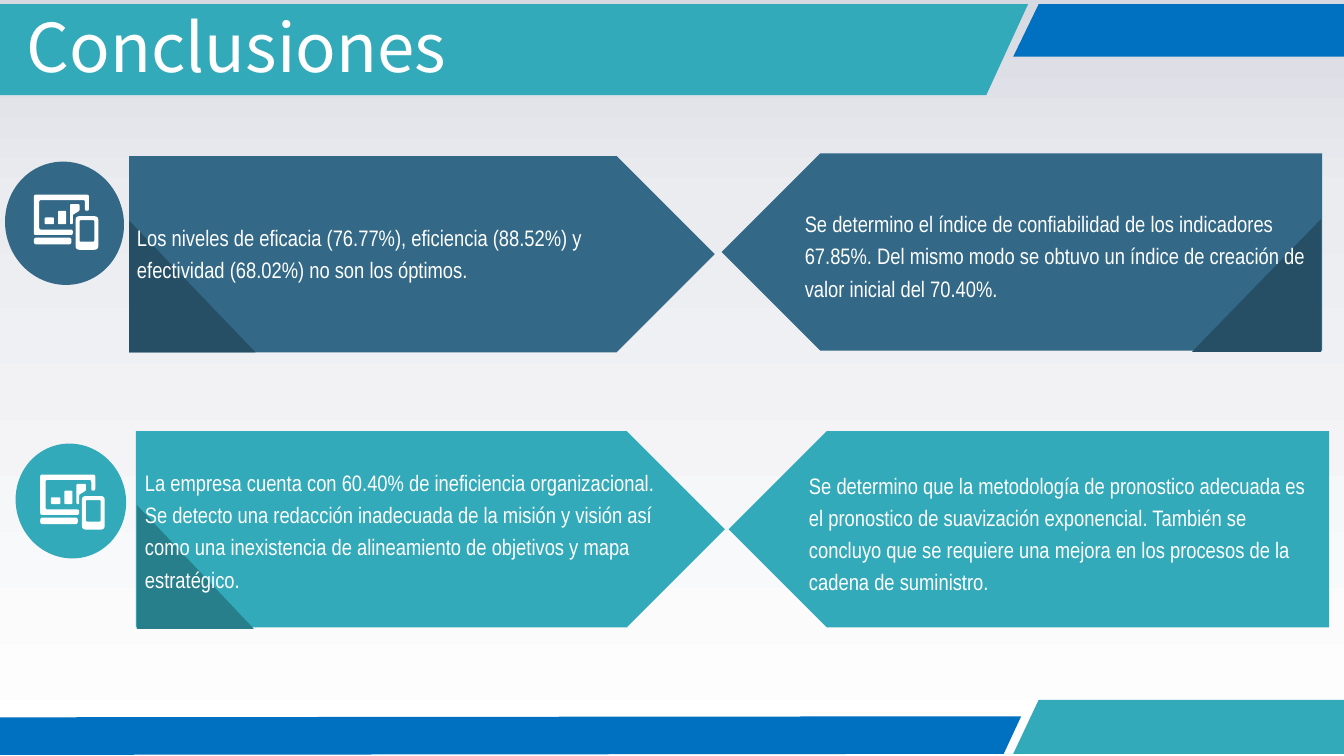
import copy

import pptx
import pptx.dml.color
import pptx.enum.shapes
import pptx.enum.text
import pptx.oxml.ns
import pptx.util

Cm = pptx.util.Cm
Pt = pptx.util.Pt
SHAPE = pptx.enum.shapes.MSO_SHAPE

COLORS = {
    "navy": "336987", "navy_fold": "264F65",
    "teal": "33AAB9", "teal_fold": "267F8B",
    "blue": "0070C0", "white": "FFFFFF",
    "bg_top": "D7D9E1", "bg_mid": "EBECF0",
}

# Slanted header and footer bands: colour and corners in cm
BANDS = [
    ("blue", [(0, 13.56), (19.3, 13.54), (18.97, 14.25), (0, 14.27)]),
    ("teal", [(19.63, 13.23), (25.4, 13.23), (25.4, 14.25), (19.15, 14.25)]),
    ("teal", [(0, 0.08), (19.43, 0.08), (18.64, 1.8), (0, 1.8)]),
    ("blue", [(19.63, 0.08), (25.4, 0.08), (25.4, 1.07), (19.15, 1.07)]),
]

# Badges: colour, circle box, icon corner
BADGES = [
    ("navy", (0.1, 3.05, 2.24, 2.34), (0.64, 3.68)),
    ("teal", (0.3, 8.38, 2.08, 2.18), (0.76, 8.97)),
]

# Arrow cards: colour, points left, arrow box, fold box, text box, text
CARDS = [
    ("navy", False, (2.44, 2.95, 11.07, 3.71), (2.44, 4.17, 2.39, 2.49),
     (2.39, 3.02, 10.03, 3.45),
     "Los niveles de eficacia (76.77%), eficiencia (88.52%) y efectividad "
     "(68.02%) no son los óptimos."),
    ("teal", False, (2.57, 8.15, 11.13, 3.71), (2.59, 9.55, 2.21, 2.34),
     (2.54, 8.26, 10.03, 3.45),
     "La empresa cuenta con 60.40% de ineficiencia organizacional. Se detecto "
     "una redacción inadecuada de la misión y visión así como una "
     "inexistencia de alineamiento de objetivos y mapa estratégico."),
    ("navy", True, (13.64, 2.9, 11.35, 3.73), (22.53, 4.14, 2.44, 2.51),
     (15.01, 3.05, 10.29, 3.48),
     "Se determino el índice de confiabilidad de los indicadores 67.85%. Del "
     "mismo modo se obtuvo un índice de creación de valor inicial del 70.40%."),
    ("teal", True, (13.77, 8.15, 11.35, 3.71), None,
     (15.09, 8.31, 10.03, 3.45),
     "Se determino que la metodología de pronostico adecuada es el pronostico "
     "de suavización exponencial. También se concluyo que se requiere una "
     "mejora en los procesos de la cadena de suministro."),
]


def rect(x1, y1, x2, y2):
    return [(x1, y1), (x2, y1), (x2, y2), (x1, y2)]


# Icon outlines on a 48 x 41 grid, each with its corner radius
ICON_UNIT = 0.0254
ICON = [
    (rect(0, 32, 28, 37), 2),
    (rect(31, 16, 48, 41), 3),
    (rect(34, 19, 45, 35), 1),
    (rect(8, 17, 15, 22), 1),
    (rect(18, 12, 24, 22), 1),
    ([(27, 7), (34, 7), (34, 12), (29, 15), (29, 22), (27, 22)], 1),
    ([(0, 0), (41, 0), (41, 12), (38, 12), (38, 4), (4, 4),
      (4, 26), (29, 26), (29, 30), (0, 30)], 1.5),
]


def rgb(name):
    return pptx.dml.color.RGBColor.from_string(COLORS[name])


def paint(sp, color):
    sp.shadow.inherit = False
    sp.fill.solid()
    sp.fill.fore_color.rgb = rgb(color)
    sp.line.fill.background()


def add_preset(s, kind, box, color, flip=False):
    sp = s.shapes.add_shape(kind, *map(Cm, box))
    paint(sp, color)
    if flip:
        sp._element.spPr.get_or_add_xfrm().set("flipH", "1")
    return sp


def add_outline(s, contours, color):
    contours = [[(Cm(x), Cm(y)) for x, y in c] for c in contours]
    fb = s.shapes.build_freeform(*contours[0][0])
    for i, c in enumerate(contours):
        if i:
            fb.move_to(*c[0])
        fb.add_line_segments(c[1:], close=True)
    paint(fb.convert_to_shape(), color)


def round_corners(points, radius, steps=4):
    """Replace each corner by a short quadratic curve."""
    out = []
    for i, (x, y) in enumerate(points):
        ends = []
        for nx, ny in (points[i - 1], points[(i + 1) % len(points)]):
            dist = ((nx - x) ** 2 + (ny - y) ** 2) ** 0.5
            k = min(radius / dist, 0.5)
            ends.append((x + k * (nx - x), y + k * (ny - y)))
        (ax, ay), (bx, by) = ends
        for t in (n / steps for n in range(steps + 1)):
            a, m, b = (1 - t) ** 2, 2 * t * (1 - t), t ** 2
            out.append((a * ax + m * x + b * bx, a * ay + m * y + b * by))
    return out


def add_icon(s, left, top):
    contours = [[(left + x * ICON_UNIT, top + y * ICON_UNIT)
                 for x, y in round_corners(pts, radius)]
                for pts, radius in ICON]
    add_outline(s, contours, "white")


def add_text(s, box, text, font, size, margins, spacing=None):
    tf = s.shapes.add_textbox(*map(Cm, box)).text_frame
    tf.word_wrap = True
    tf.vertical_anchor = pptx.enum.text.MSO_ANCHOR.MIDDLE
    tf.margin_left = tf.margin_right = Cm(margins[0])
    tf.margin_top = tf.margin_bottom = Cm(margins[1])
    p = tf.paragraphs[0]
    p.line_spacing = spacing
    r = p.add_run()
    r.text = text
    r.font.name = font
    r.font.size = Pt(size)
    r.font.color.rgb = rgb("white")


def set_background(s):
    fill = s.background.fill
    fill.gradient()
    fill.gradient_angle = 270
    stops = s._element.find(".//" + pptx.oxml.ns.qn("a:gsLst"))
    stops.append(copy.deepcopy(stops[-1]))
    colors = [(0, "bg_top"), (0.26, "bg_mid"), (1, "white")]
    for stop, (pos, color) in zip(fill.gradient_stops, colors):
        stop.position = pos
        stop.color.rgb = rgb(color)


def main():
    prs = pptx.Presentation()
    prs.slide_width, prs.slide_height = Cm(25.4), Cm(14.29)
    s = prs.slides.add_slide(prs.slide_layouts[6])
    set_background(s)

    # Bands and title
    for color, corners in BANDS:
        add_outline(s, [corners], color)
    add_text(s, (0.51, 0.3, 13, 1.12), "Conclusiones",
             "Noto Sans CJK SC", 36, (0, 0.13))

    # Round badges with the devices icon
    for color, box, corner in BADGES:
        add_preset(s, SHAPE.OVAL, box, color).rotation = 342.9
        add_icon(s, *corner)

    # Arrow cards with a dark folded corner
    for color, flip, arrow, fold, box, text in CARDS:
        add_preset(s, SHAPE.PENTAGON, arrow, color, flip)
        if fold:
            add_preset(s, SHAPE.RIGHT_TRIANGLE, fold, color + "_fold", flip)
        add_text(s, box, text, "Arial Narrow", 12, (0.2, 0), 1.2)

    prs.save("out.pptx")


if __name__ == "__main__":
    main()
